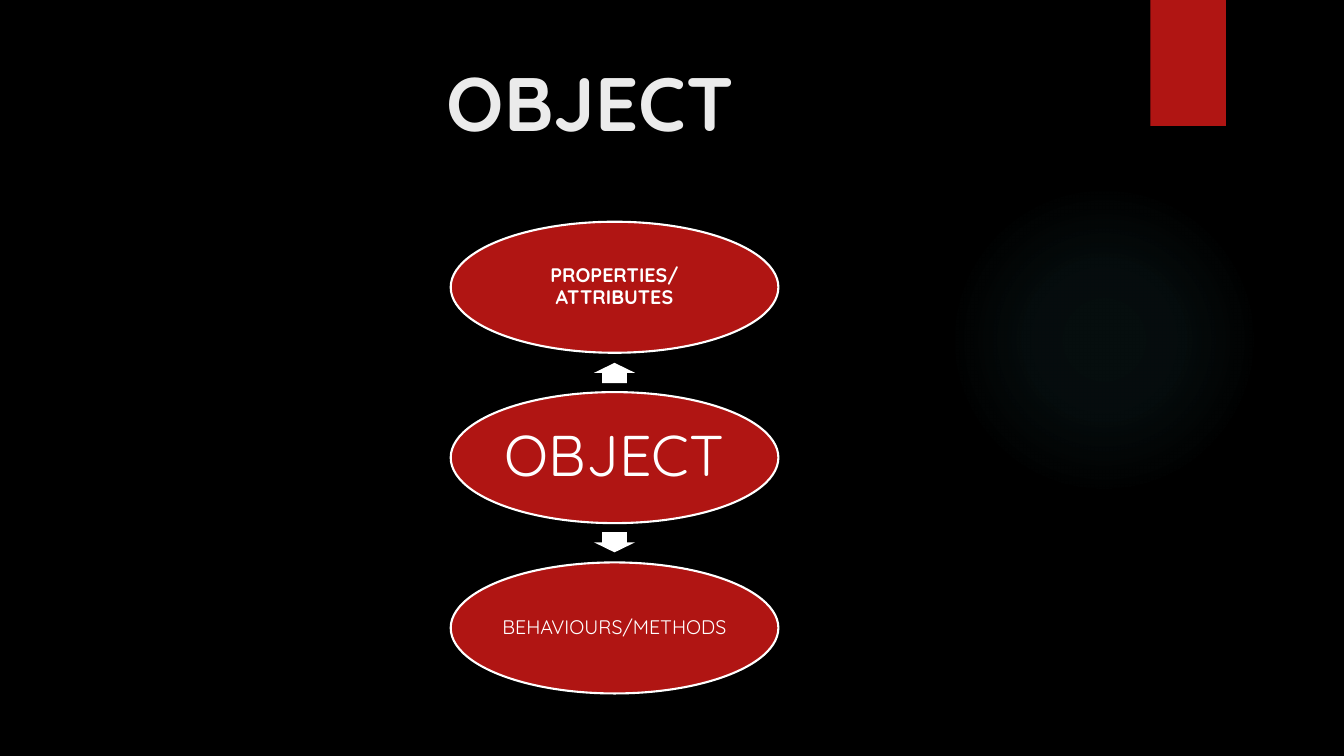
from lxml import etree
from pptx import Presentation
from pptx import util as u
from pptx.dml.color import RGBColor
from pptx.enum import shapes, text
from pptx.oxml import ns

RED, WHITE, PALE, GLOW = "B01513", "FFFFFF", "EBEBEB", "50B9C1"
KIND = shapes.MSO_SHAPE


def paint(fill, color):
    fill.solid()
    fill.fore_color.rgb = RGBColor.from_string(color)


def apply(target, style):
    for name, value in style.items():
        setattr(target, name, value)


class Board:
    def __init__(self, slide, font):
        self.slide = slide
        self.font = font
        paint(slide.background.fill, "000000")

    def label(self, shape, words, size, color, bold=False, inset=0.1, **frame):
        tf = shape.text_frame
        pad = u.Inches(inset)
        apply(tf, {"word_wrap": True, "auto_size": text.MSO_AUTO_SIZE.NONE,
                   "margin_left": pad, "margin_right": pad, **frame})
        par = tf.paragraphs[0]
        apply(par, {"alignment": text.PP_ALIGN.CENTER, "line_spacing": 0.9})
        run = par.add_run()
        run.text = words
        apply(run.font, {"name": self.font, "size": u.Pt(size), "bold": bold})
        run.font.color.rgb = RGBColor.from_string(color)

    def title(self, words, box):
        shape = self.slide.shapes.title
        names = ("left", "top", "width", "height")
        apply(shape, dict(zip(names, map(u.Inches, box))))
        self.label(shape, words, 54, PALE, True,
                   vertical_anchor=text.MSO_ANCHOR.TOP)
        shape.text_frame.paragraphs[0].line_spacing = 1.0

    def shape(self, kind, box, color, edge=None):
        shape = self.slide.shapes.add_shape(kind, *map(u.Inches, box))
        shape.shadow.inherit = False
        paint(shape.fill, color)
        if edge:
            paint(shape.line.fill, edge)
            shape.line.width = u.Pt(1.5)
        else:
            shape.line.fill.background()
        return shape

    def glow(self, box, color, stops):
        """Draw a circle that fades outwards; stops are (place, alpha) in percent."""
        props = self.shape(KIND.OVAL, box, color).element.spPr
        grad = etree.Element(ns.qn("a:gradFill"), rotWithShape="1")
        steps = etree.SubElement(grad, ns.qn("a:gsLst"))
        for place, alpha in stops:
            stop = etree.SubElement(steps, ns.qn("a:gs"), pos=str(place * 1000))
            tone = etree.SubElement(stop, ns.qn("a:srgbClr"), val=color)
            etree.SubElement(tone, ns.qn("a:alpha"), val=str(alpha * 1000))
        mode = etree.SubElement(grad, ns.qn("a:path"), {"path": "circle"})
        mid = dict.fromkeys("ltrb", "50000")
        etree.SubElement(mode, ns.qn("a:fillToRect"), mid)
        props.replace(props.find(ns.qn("a:solidFill")), grad)

    def node(self, words, box, size, bold, inset):
        shape = self.shape(KIND.OVAL, box, RED, WHITE)
        pad = u.Inches(inset)
        self.label(shape, words, size, WHITE, bold, inset, margin_top=pad,
                   margin_bottom=pad, vertical_anchor=text.MSO_ANCHOR.MIDDLE)

    def arrow(self, kind, box):
        shape = self.shape(kind, box, WHITE)
        shape.adjustments[0] = 0.6
        shape.adjustments[1] = 0.5


def main():
    deck = Presentation()
    deck.slide_width, deck.slide_height = u.Inches(13.33), u.Inches(7.5)
    board = Board(deck.slides.add_slide(deck.slide_layouts[5]), "Quicksand")
    board.glow((9.41, 1.83, 3.08, 3.08), GLOW, [(0, 7), (36, 6), (69, 0), (100, 0)])
    board.shape(KIND.RECTANGLE, (11.41, 0, 0.75, 1.25), RED)
    board.title("OBJECT", (0.71, 0.5, 10.29, 1.53))

    left, top, wide, high, step = 4.47, 2.2, 3.25, 1.3, 1.69
    nodes = [("PROPERTIES/ATTRIBUTES", 14, True, 0.02),
             ("OBJECT", 41, False, 0.06),
             ("BEHAVIOURS/METHODS", 14, False, 0.02)]
    for i, (words, *look) in enumerate(nodes):
        board.node(words, (left, top + i * step, wide, high), *look)

    span, rise = 0.41, 0.2
    side = left + (wide - span) / 2
    for kind, y in ((KIND.UP_ARROW, 3.6), (KIND.DOWN_ARROW, 5.28)):
        board.arrow(kind, (side, y, span, rise))
    deck.save("out.pptx")


if __name__ == "__main__":
    main()
